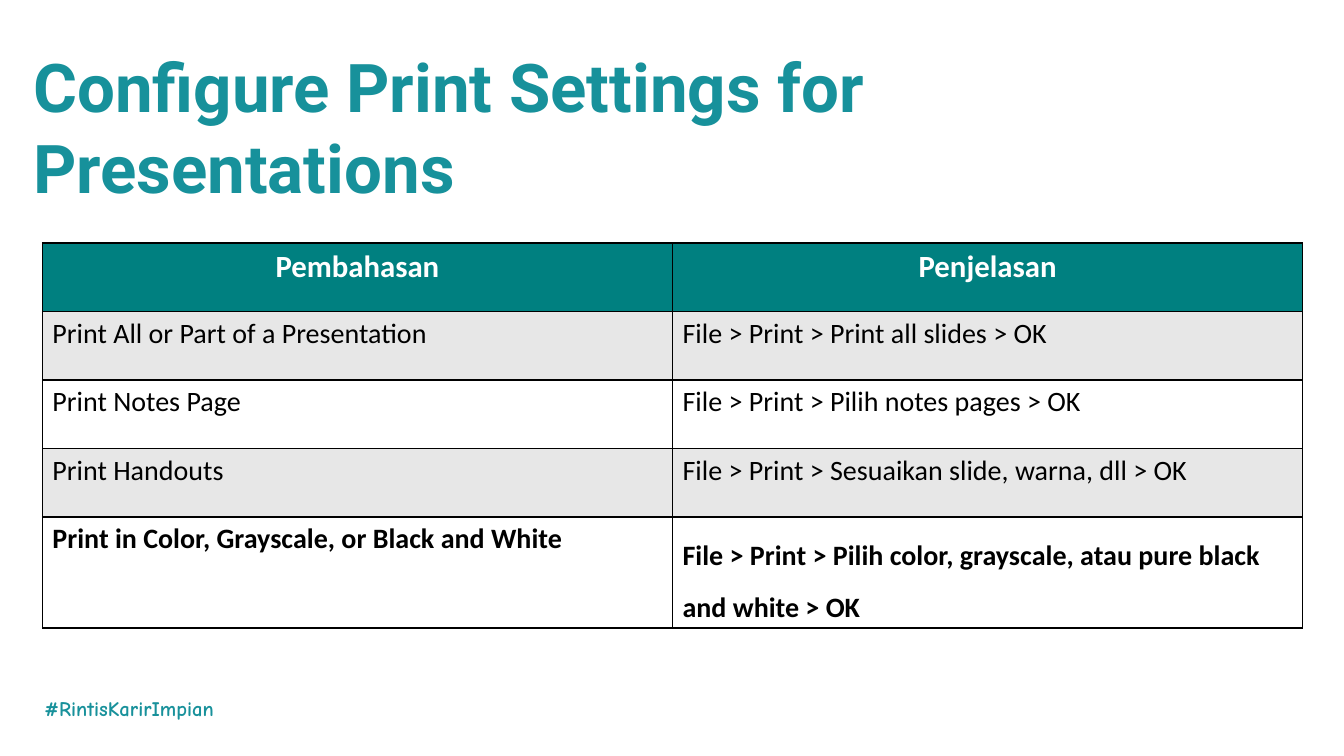
from dataclasses import dataclass

from lxml.etree import SubElement
from pptx import Presentation
from pptx.dml.color import RGBColor
from pptx.enum.text import MSO_ANCHOR, PP_ALIGN
from pptx.oxml.ns import qn
from pptx.util import Inches, Pt


@dataclass(frozen=True)
class Theme:
    title_color: str = "17919B"
    hashtag_color: str = "18919B"
    header_fill: str = "008080"
    header_text: str = "FFFFFF"
    body_text: str = "000000"
    border: str = "000000"
    bands: tuple = ("E7E7E7", "FFFFFF")
    title_font: str = "Roboto"
    hashtag_font: str = "Comic Neue"
    table_font: str = "Calibri"
    title_size: float = 48
    hashtag_size: float = 14.7
    header_size: float = 22
    body_size: float = 20


HEADINGS = ("Pembahasan", "Penjelasan")
PRINT_STEPS = (
    ("Print All or Part of a Presentation", "File > Print > Print all slides > OK"),
    ("Print Notes Page", "File > Print > Pilih notes pages > OK"),
    ("Print Handouts", "File > Print > Sesuaikan slide, warna, dll > OK"),
    ("Print in Color, Grayscale, or Black and White",
     "File > Print > Pilih color, grayscale, atau pure black and white > OK"),
)


class SlideBuilder:
    def __init__(self, slide, theme):
        self.slide = slide
        self.theme = theme

    def add_words(self, frame, words, font, size, color, bold=True):
        paragraph = frame.paragraphs[0]
        run = paragraph.add_run()
        run.text = words
        style = {"name": font, "size": Pt(size), "bold": bold}
        for attribute, value in style.items():
            setattr(run.font, attribute, value)
        run.font.color.rgb = RGBColor.from_string(color)
        return paragraph

    def text(self, words, place, insets, font, size, color):
        """Add a text box; insets run left, top, right, bottom."""
        box = self.slide.shapes.add_textbox(*map(Inches, place))
        frame = box.text_frame
        frame.word_wrap = True
        sides = ("margin_left", "margin_top", "margin_right", "margin_bottom")
        for side, inset in zip(sides, insets):
            setattr(frame, side, Inches(inset))
        self.add_words(frame, words, font, size, color)

    def border(self, cell):
        properties = cell._tc.get_or_add_tcPr()
        for position, edge in enumerate(("lnL", "lnR", "lnT", "lnB")):
            line = SubElement(properties, qn(f"a:{edge}"), w=str(Pt(1)))
            fill = SubElement(line, qn("a:solidFill"))
            SubElement(fill, qn("a:srgbClr"), val=self.theme.border)
            properties.insert(position, line)

    def cell(self, cell, words, fill, size, color, bold):
        cell.fill.solid()
        cell.fill.fore_color.rgb = RGBColor.from_string(fill)
        cell.vertical_anchor = MSO_ANCHOR.TOP
        self.border(cell)
        return self.add_words(cell.text_frame, words, self.theme.table_font,
                              size, color, bold)

    def table(self, headings, steps, place, row_height):
        theme = self.theme
        table = self.slide.shapes.add_table(
            len(steps) + 1, len(headings), *map(Inches, place)).table
        for row in table.rows:
            row.height = Inches(row_height)
        for column, heading in enumerate(headings):
            paragraph = self.cell(table.cell(0, column), heading, theme.header_fill,
                                  theme.header_size, theme.header_text, True)
            paragraph.alignment = PP_ALIGN.CENTER
        for index, step in enumerate(steps):
            is_last = index == len(steps) - 1
            for column, words in enumerate(step):
                paragraph = self.cell(table.cell(index + 1, column), words,
                                      theme.bands[index % 2], theme.body_size,
                                      theme.body_text, is_last)
        paragraph.line_spacing = 1.5


def main():
    presentation = Presentation()
    presentation.slide_width = Inches(13.33)
    presentation.slide_height = Inches(7.5)
    theme = Theme()
    slide = presentation.slides.add_slide(presentation.slide_layouts[6])
    builder = SlideBuilder(slide, theme)
    builder.text("#RintisKarirImpian", (0.31, 6.78, 2.09, 0.52), (0.13,) * 4,
                 theme.hashtag_font, theme.hashtag_size, theme.hashtag_color)
    builder.text("Configure Print Settings for Presentations",
                 (0.31, 0.43, 12.09, 1.63), (0.02, 0.02, 0, 0),
                 theme.title_font, theme.title_size, theme.title_color)
    builder.table(HEADINGS, PRINT_STEPS, (0.42, 2.41, 12.5, 3.4), 0.68)
    presentation.save("out.pptx")


if __name__ == "__main__":
    main()
